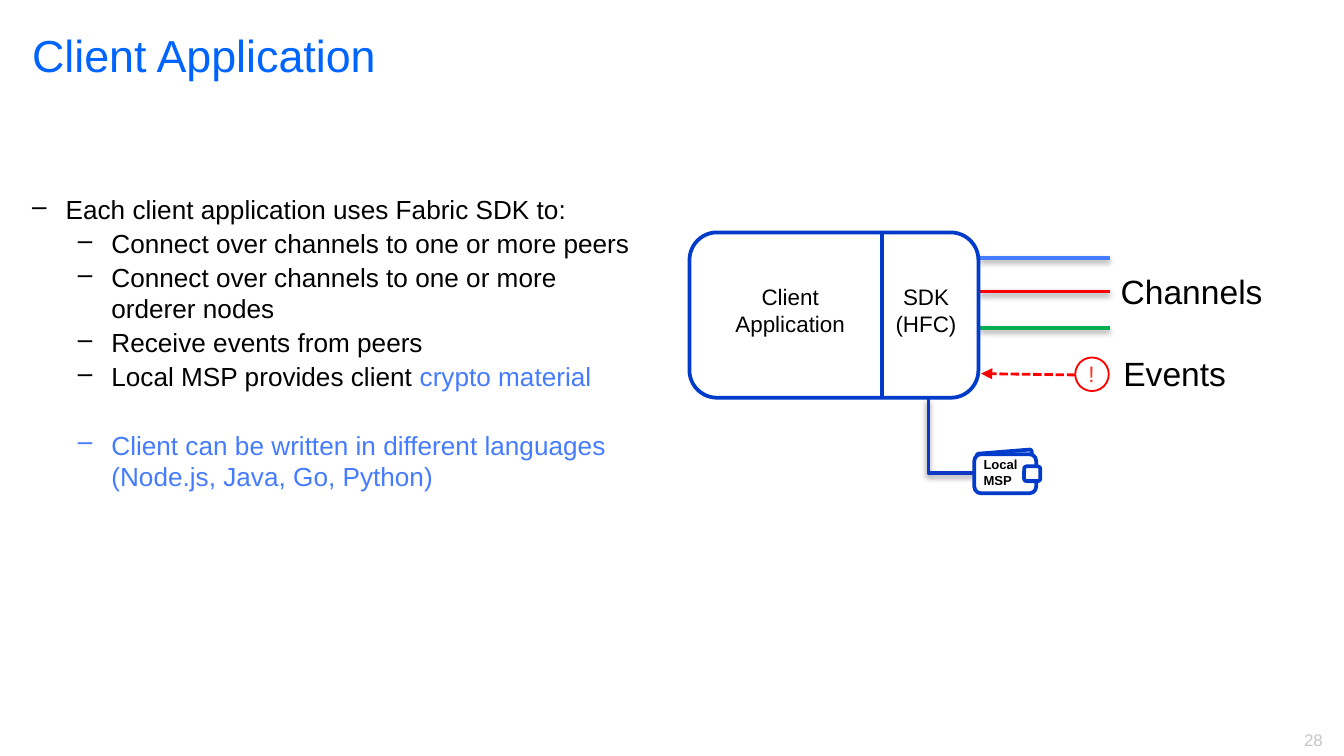
from dataclasses import dataclass

from lxml import etree
from pptx import Presentation
from pptx.dml.color import RGBColor
from pptx.enum.dml import MSO_LINE
from pptx.enum.shapes import MSO_CONNECTOR, MSO_SHAPE
from pptx.enum.text import PP_ALIGN
from pptx.oxml import parse_xml
from pptx.oxml.ns import nsdecls, qn
from pptx.util import Inches, Pt

STRAIGHT, ELBOW = MSO_CONNECTOR.STRAIGHT, MSO_CONNECTOR.ELBOW
ROUND, OVAL = MSO_SHAPE.ROUNDED_RECTANGLE, MSO_SHAPE.OVAL
LEFT, CENTER, RIGHT = PP_ALIGN.LEFT, PP_ALIGN.CENTER, PP_ALIGN.RIGHT
SYS_DASH = MSO_LINE.SQUARE_DOT


@dataclass(frozen=True)
class Theme:
    font: str = "Arial"
    title: str = "0064FF"
    text: str = "000000"
    number: str = "C6C6C6"
    accent: str = "457CFF"
    outline: str = "003BC9"
    wire: str = "0F38C3"
    red: str = "FF0000"
    alert: str = "FF3220"
    green: str = "00B050"
    white: str = "FFFFFF"
    title_size: float = 24
    label_size: float = 18
    body_size: float = 14
    box_size: float = 12
    number_size: float = 9
    wallet_size: float = 7


THEME = Theme()

# Level, space before, runs of (text, colour)
BULLETS = [
    (0, 0, [("Each client application uses Fabric SDK to:", THEME.text)]),
    (1, 0.7, [("Connect over channels to one or more peers", THEME.text)]),
    (1, 0.7, [("Connect over channels to one or more orderer nodes", THEME.text)]),
    (1, 0.7, [("Receive events from peers", THEME.text)]),
    (1, 0.7, [("Local MSP provides client ", THEME.text),
              ("crypto material", THEME.accent)]),
    (1, 19, [("Client can be written in different languages "
              "(Node.js, Java, Go, Python)", THEME.accent)]),
]
INDENTS = (0.25, 0.59)
HANGING = 0.25
CHANNELS = [(1.92, THEME.accent), (2.17, THEME.red), (2.44, THEME.green)]


def add_run(p, text, size, color, bold=False):
    r = p.add_run()
    r.text = text
    for name, value in {"name": THEME.font, "size": Pt(size), "bold": bold}.items():
        setattr(r.font, name, value)
    r.font.color.rgb = RGBColor.from_string(color)


def add_text(s, box, lines, size, color=THEME.text, align=LEFT, bold=False, wrap=True):
    tf = s.shapes.add_textbox(*map(Inches, box)).text_frame
    tf.word_wrap = wrap
    for i, line in enumerate(lines):
        p = tf.paragraphs[0] if i == 0 else tf.add_paragraph()
        p.alignment = align
        add_run(p, line, size, color, bold)


def add_bullets(s, box, items):
    tf = s.shapes.add_textbox(*map(Inches, box)).text_frame
    tf.word_wrap = True
    for i, (level, before, runs) in enumerate(items):
        p = tf.paragraphs[0] if i == 0 else tf.add_paragraph()
        pPr = p._p.get_or_add_pPr()
        pPr.set("marL", str(Inches(INDENTS[level])))
        pPr.set("indent", str(-Inches(HANGING)))
        etree.SubElement(pPr, qn("a:buChar")).set("char", "–")
        fmt = {"level": level, "space_before": Pt(before), "space_after": Pt(0.7)}
        for name, value in fmt.items():
            setattr(p, name, value)
        for text, color in runs:
            add_run(p, text, THEME.body_size, color)


def add_outline(s, kind, box, color, width=2, fill=THEME.white, rotation=0):
    sp = s.shapes.add_shape(kind, *map(Inches, box))
    sp.shadow.inherit = False
    sp.rotation = rotation
    if fill:
        sp.fill.solid()
        sp.fill.fore_color.rgb = RGBColor.from_string(fill)
    else:
        sp.fill.background()
    sp.line.color.rgb = RGBColor.from_string(color)
    sp.line.width = Pt(width)


def add_line(s, start, end, color, width=2, kind=STRAIGHT, shadow=False):
    cx = s.shapes.add_connector(kind, *map(Inches, start + end))
    cx.line.color.rgb = RGBColor.from_string(color)
    cx.line.width = Pt(width)
    shade = (f'<a:outerShdw blurRad="{Pt(3.1)}" dist="{Pt(1.6)}" dir="5400000" '
             'rotWithShape="0"><a:srgbClr val="000000"><a:alpha val="38000"/>'
             '</a:srgbClr></a:outerShdw>') if shadow else ""
    cx._element.spPr.append(
        parse_xml(f'<a:effectLst {nsdecls("a")}>{shade}</a:effectLst>'))
    return cx


def add_client(s):
    add_outline(s, ROUND, (5.13, 1.73, 2.15, 1.23), THEME.outline, fill=None)
    add_line(s, (6.56, 1.73), (6.56, 2.96), THEME.outline, 2.25)
    add_text(s, (5.28, 2.06, 1.2, 0.5), ["Client", "Application"],
             THEME.box_size, align=CENTER)
    add_text(s, (6.55, 2.06, 0.68, 0.5), ["SDK (HFC)"], THEME.box_size, align=CENTER)


def add_events(s):
    arrow = add_line(s, (8, 2.79), (7.3, 2.78), THEME.red, 1.5)
    arrow.line.dash_style = SYS_DASH
    etree.SubElement(arrow.line._get_or_add_ln(), qn("a:tailEnd")).set("type", "triangle")
    add_outline(s, OVAL, (8, 2.66, 0.25, 0.25), THEME.red, 1)
    add_text(s, (8, 2.63, 0.26, 0.3), ["!"], THEME.box_size, THEME.alert, wrap=False)
    add_text(s, (8.26, 2.58, 0.99, 0.4), ["Events"], THEME.label_size)


def add_wallet(s):
    # One-bend wire from the wallet up to the SDK
    wire = add_line(s, (7.31, 3.52), (6.91, 2.97), THEME.wire, kind=ELBOW, shadow=True)
    wire._element.spPr.find(qn("a:prstGeom")).set("prst", "bentConnector2")
    # Flap, body, label and clasp
    add_outline(s, ROUND, (7.27, 3.36, 0.41, 0.09), THEME.outline, rotation=355.4)
    add_outline(s, ROUND, (7.25, 3.38, 0.46, 0.29), THEME.outline)
    add_text(s, (7.22, 3.35, 0.56, 0.34), ["Local", "MSP"], THEME.wallet_size, bold=True)
    add_outline(s, ROUND, (7.62, 3.47, 0.12, 0.11), THEME.outline)


def main():
    prs = Presentation()
    # Widescreen, 16:9
    prs.slide_width = Inches(10)
    prs.slide_height = Inches(10 * 9 / 16)
    s = prs.slides.add_slide(prs.slide_layouts[6])

    # Title, page number and list
    add_text(s, (9.36, 5.38, 0.58, 0.25), ["28"], THEME.number_size, THEME.number, RIGHT)
    add_text(s, (0.14, 0.16, 8.5, 1.11), ["Client Application"],
             THEME.title_size, THEME.title)
    add_bullets(s, (0.14, 1.39, 4.75, 3.24), BULLETS)

    # Diagram
    add_events(s)
    for y, color in CHANNELS:
        add_line(s, (8.26, y), (7.29, y), color, shadow=True)
    add_text(s, (8.24, 1.97, 1.26, 0.4), ["Channels"], THEME.label_size)
    add_client(s)
    add_wallet(s)

    prs.save("out.pptx")


if __name__ == "__main__":
    main()
